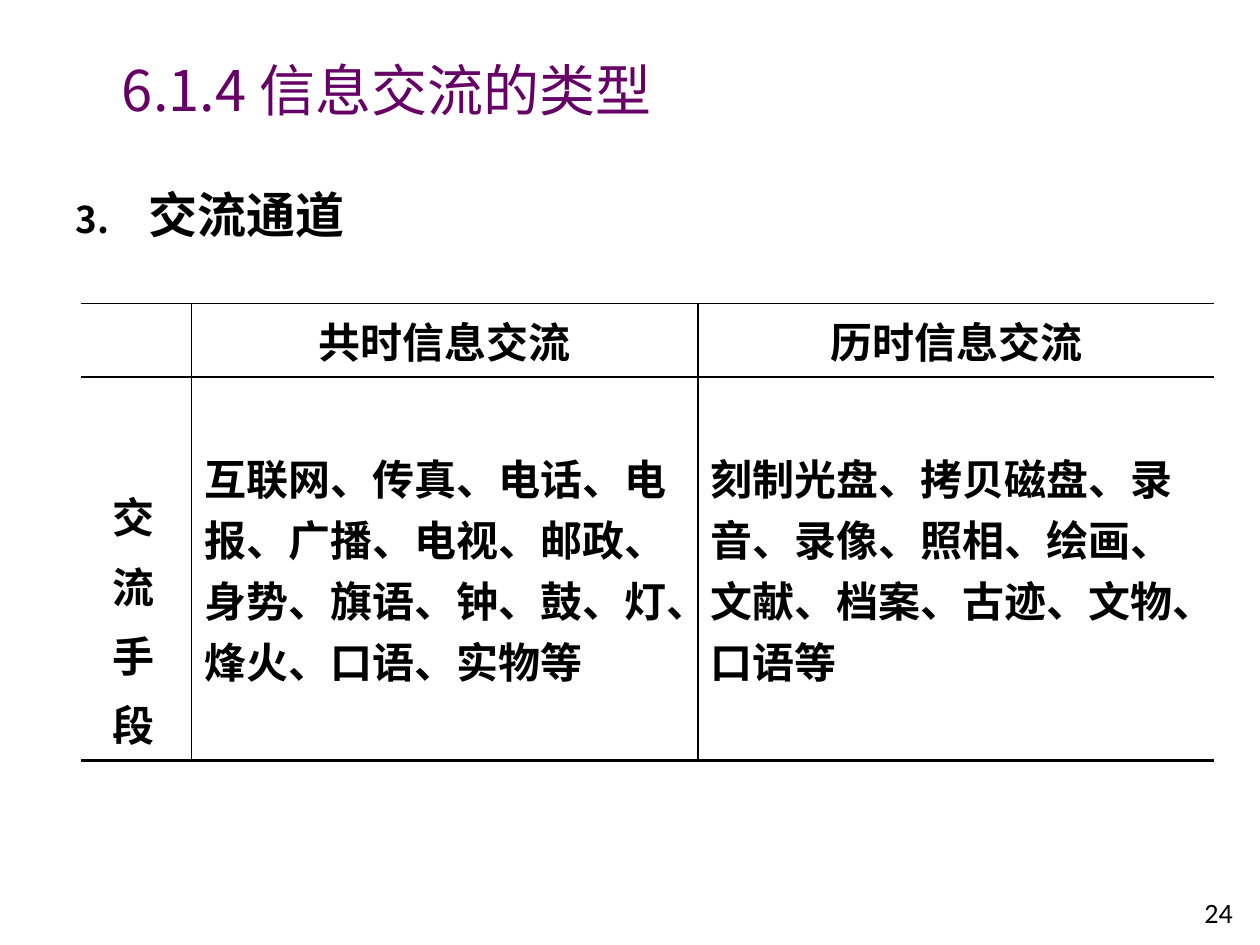
from lxml import etree
from pptx import Presentation
from pptx import util as u
from pptx.dml.color import RGBColor
from pptx.enum import text
from pptx.oxml.ns import qn

BLACK = "000000"
PURPLE = "660066"
NO_STYLE = "{2D5ABB26-0587-4C30-8999-92F81FD0307C}"
MEANS = [
    "互联网、传真、电话、电报、广播、电视、邮政、身势、旗语、钟、鼓、灯、烽火、口语、实物等",
    "刻制光盘、拷贝磁盘、录音、录像、照相、绘画、文献、档案、古迹、文物、口语等",
]


def color(hex_value):
    return RGBColor.from_string(hex_value)


def style(paragraph, size, font, hex_value=BLACK, bold=False, align=text.PP_ALIGN.LEFT):
    paragraph.alignment = align
    paragraph.font.size = u.Pt(size)
    paragraph.font.name = font
    paragraph.font.bold = bold
    paragraph.font.color.rgb = color(hex_value)


def add_title(slide, words):
    title = slide.shapes.title
    title.left, title.top, title.width, title.height = map(u.Pt, (0, 28, 442, 45.5))
    frame = title.text_frame
    frame.text = words
    frame.auto_size = text.MSO_AUTO_SIZE.NONE
    frame.vertical_anchor = text.MSO_ANCHOR.MIDDLE
    style(frame.paragraphs[0], 32, "Noto Sans CJK SC", PURPLE, align=text.PP_ALIGN.CENTER)


def add_text(slide, words, left, top, width, height):
    frame = slide.shapes.add_textbox(*map(u.Pt, (left, top, width, height))).text_frame
    frame.word_wrap = True
    frame.text = words
    return frame.paragraphs[0]


def number_item(paragraph, start):
    properties = paragraph._p.get_or_add_pPr()
    properties.set("marL", str(u.Pt(78)))
    properties.set("indent", str(u.Pt(-42)))
    bullet_color = etree.SubElement(properties, qn("a:buClr"))
    etree.SubElement(bullet_color, qn("a:srgbClr"), val=BLACK)
    etree.SubElement(properties, qn("a:buSzPct"), val="75000")
    etree.SubElement(properties, qn("a:buAutoNum"), type="arabicPeriod", startAt=str(start))


def set_borders(cell, widths):
    properties = cell._tc.get_or_add_tcPr()
    for side, width in zip("LRTB", widths):
        line = etree.SubElement(properties, qn(f"a:ln{side}"), w=str(u.Pt(width)))
        if width:
            fill = etree.SubElement(line, qn("a:solidFill"))
            etree.SubElement(fill, qn("a:srgbClr"), val=BLACK)
        else:
            etree.SubElement(line, qn("a:noFill"))
    cell.fill.background()


def fill_cell(cell, words, align, anchor):
    cell.text = words
    cell.vertical_anchor = anchor
    for index, paragraph in enumerate(cell.text_frame.paragraphs):
        if index:
            paragraph.space_before = u.Pt(4.8)
        style(paragraph, 24, "Times New Roman", bold=True, align=align)


def add_channel_table(slide):
    widths, heights = (63.5, 289.5, 295), (42, 219)
    frame = slide.shapes.add_table(2, 3, *map(u.Pt, (46, 173.5, sum(widths), sum(heights))))
    table = frame.table
    table.first_row = table.horz_banding = False
    table._tbl.tblPr.find(qn("a:tableStyleId")).text = NO_STYLE
    for column, width in zip(table.columns, widths):
        column.width = u.Pt(width)
    for row, height in zip(table.rows, heights):
        row.height = u.Pt(height)

    left, center = text.PP_ALIGN.LEFT, text.PP_ALIGN.CENTER
    middle, bottom = text.MSO_ANCHOR.MIDDLE, text.MSO_ANCHOR.BOTTOM
    contents = [
        ["", "共时信息交流", "历时信息交流"],
        ["\n".join("交流手段"), *MEANS],
    ]
    for r, row in enumerate(contents):
        for c, words in enumerate(row):
            cell = table.cell(r, c)
            fill_cell(cell, words, left if r else center, middle if c else bottom)
            set_borders(cell, (int(c > 0), int(c < 2), 1, 2.25 if r else 1))
    table.cell(1, 0).margin_left = u.Pt(18)


def main():
    deck = Presentation()
    deck.slide_width, deck.slide_height = u.Pt(720), u.Pt(540)
    slide = deck.slides.add_slide(deck.slide_layouts[5])
    add_title(slide, "6.1.4 信息交流的类型")
    topic = add_text(slide, "交流通道", 0, 105.8, 695, 36)
    number_item(topic, 3)
    topic.line_spacing = 0.9
    style(topic, 28, "Calibri", bold=True)
    add_channel_table(slide)
    page = add_text(slide, "24", 558.5, 508, 153, 32)
    style(page, 16, "Calibri", align=text.PP_ALIGN.RIGHT)
    deck.save("out.pptx")


if __name__ == "__main__":
    main()
